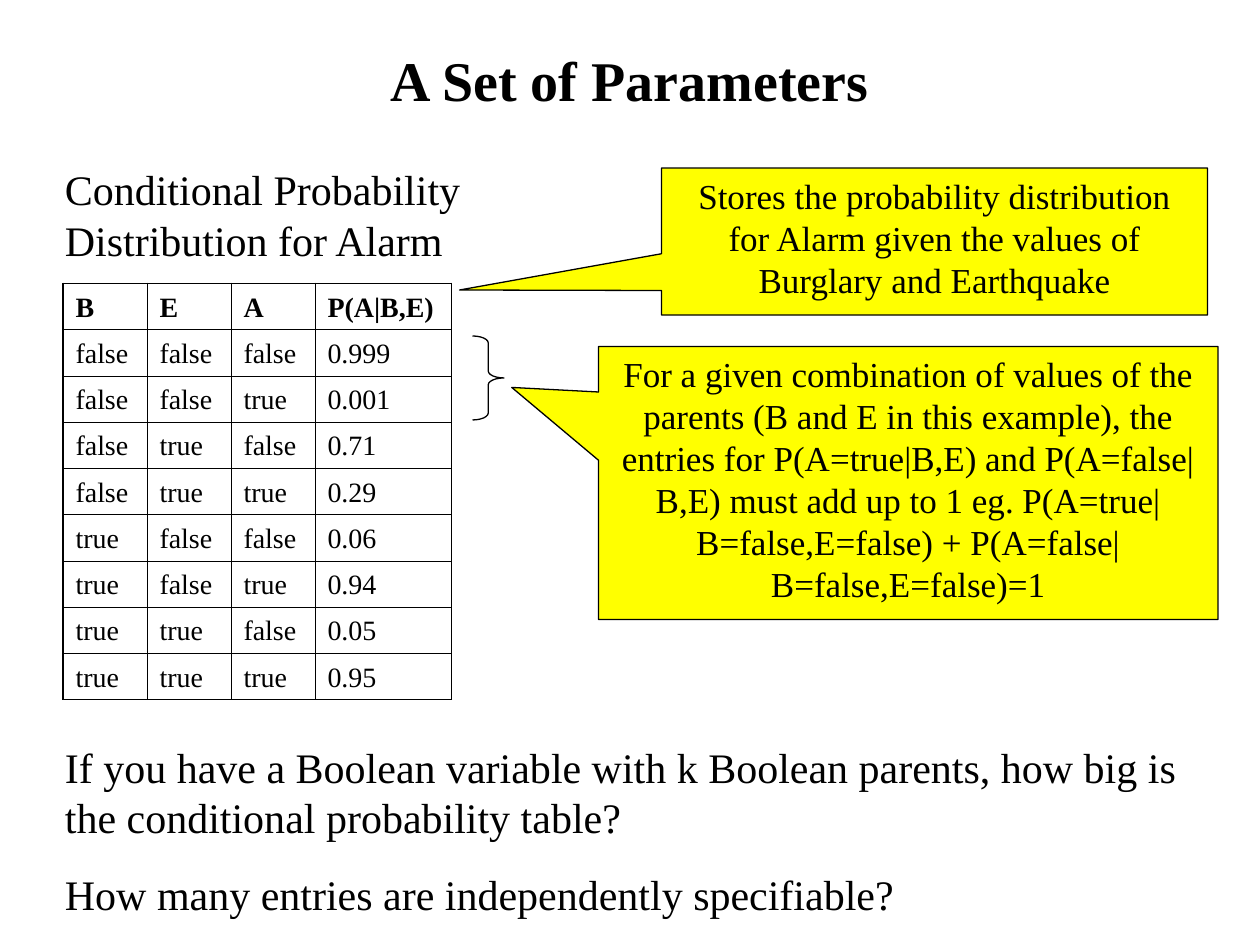
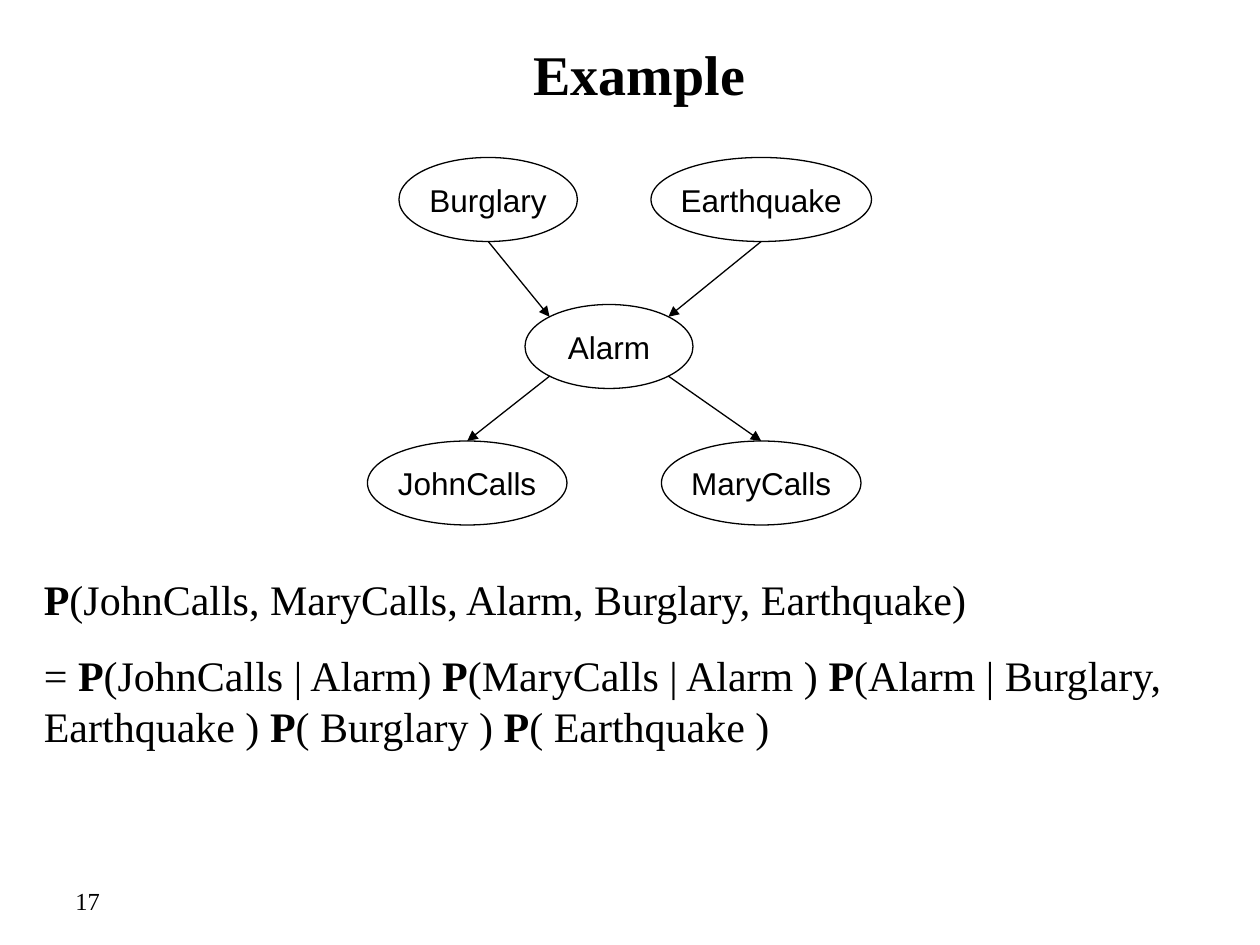
import dataclasses
import math

import pptx
import pptx.dml.color
import pptx.enum.shapes
import pptx.enum.text
import pptx.oxml
import pptx.oxml.ns
import pptx.util

Pt = pptx.util.Pt
Align = pptx.enum.text.PP_ALIGN
Anchor = pptx.enum.text.MSO_ANCHOR
Preset = pptx.enum.shapes.MSO_SHAPE

COLUMNS, ROWS = 120, 90
CELL = pptx.util.Inches(10) // COLUMNS


@dataclasses.dataclass(frozen=True)
class Theme:
    ink: str = "000000"
    callout: str = "FFFF00"
    serif: str = "Times New Roman"
    sans: str = "Arial"
    title: int = 32
    body: int = 24
    note: int = 20
    node: int = 18
    entry: int = 16
    footer: int = 14
    leading: float = 1.2
    paragraph_gap: int = 15
    outline: float = 0.75
    frame: float = 1.08
    rule: float = 0.45


THEME = Theme()


def rgb(value):
    return pptx.dml.color.RGBColor.from_string(value)


def grid(*cells):
    """Turn grid columns and rows into slide lengths."""
    return [round(cell * CELL) for cell in cells]


def apply(target, formats):
    for name, value in formats.items():
        setattr(target, name, value)


def write(frame, paragraphs, size, align=Align.LEFT, anchor=Anchor.TOP,
          font=THEME.serif, bold=False, wrap=True):
    """Fill a text frame; words between asterisks switch to bold."""
    inset_x, inset_y = pptx.util.Inches(0.1), pptx.util.Inches(0.05)
    apply(frame, {"word_wrap": wrap, "vertical_anchor": anchor,
                  "margin_left": inset_x, "margin_right": inset_x,
                  "margin_top": inset_y, "margin_bottom": inset_y})
    for index, text in enumerate(paragraphs):
        paragraph = frame.add_paragraph() if index else frame.paragraphs[0]
        apply(paragraph, {"alignment": align,
                          "line_spacing": Pt(size * THEME.leading)})
        if index:
            paragraph.space_before = Pt(THEME.paragraph_gap)
        for part, words in enumerate(text.split("*")):
            if words:
                run = paragraph.add_run()
                run.text = words
                apply(run.font, {"name": font, "size": Pt(size),
                                 "bold": bold or part % 2 == 1})
                run.font.color.rgb = rgb(THEME.ink)


def add_text(slide, area, paragraphs, size, **formats):
    box = slide.shapes.add_textbox(*grid(*area))
    write(box.text_frame, paragraphs, size, **formats)


def add_title(slide, area, text):
    add_text(slide, area, [text], THEME.title, bold=True,
             align=Align.CENTER, anchor=Anchor.MIDDLE)


def add_outlined(slide, preset, area, fill=None, adjustments=()):
    shape = slide.shapes.add_shape(preset, *grid(*area))
    shape.shadow.inherit = False
    if fill:
        shape.fill.solid()
        shape.fill.fore_color.rgb = rgb(fill)
    else:
        shape.fill.background()
    shape.line.color.rgb = rgb(THEME.ink)
    shape.line.width = Pt(THEME.outline)
    for index, value in enumerate(adjustments):
        shape.adjustments[index] = value
    return shape


def add_callout(slide, area, tip, text):
    """Draw a callout whose tip is an offset from its centre, in shares of its size."""
    callout = add_outlined(slide, Preset.RECTANGULAR_CALLOUT, area,
                           THEME.callout, tip)
    write(callout.text_frame, [text], THEME.note, align=Align.CENTER)


def add_node(slide, area, label):
    node = add_outlined(slide, Preset.OVAL, area)
    write(node.text_frame, [label], THEME.node, align=Align.CENTER,
          anchor=Anchor.MIDDLE, font=THEME.sans, wrap=False)


def rim_point(area, degrees):
    """Grid point on an ellipse, with the angle measured clockwise from the right."""
    left, top, width, height = area
    angle = math.radians(degrees)
    return (left + width / 2 * (1 + math.cos(angle)),
            top + height / 2 * (1 + math.sin(angle)))


def add_arrow(slide, start, end):
    arrow = slide.shapes.add_connector(
        pptx.enum.shapes.MSO_CONNECTOR.STRAIGHT, *grid(*start, *end))
    arrow.line.color.rgb = rgb(THEME.ink)
    arrow.line.width = Pt(THEME.outline)
    head = pptx.oxml.parse_xml(
        f'<a:tailEnd {pptx.oxml.ns.nsdecls("a")} type="triangle"/>')
    arrow.line._get_or_add_ln().append(head)
    arrow._element.spPr.append(pptx.oxml.parse_xml(
        f'<a:effectLst {pptx.oxml.ns.nsdecls("a")}/>'))


def add_border(cell, side, width):
    cell._tc.get_or_add_tcPr().append(pptx.oxml.parse_xml(
        f'<a:ln{side} {pptx.oxml.ns.nsdecls("a")} w="{Pt(width)}">'
        f'<a:solidFill><a:srgbClr val="{THEME.ink}"/></a:solidFill></a:ln{side}>'))


def add_probability_table(slide, left, top, widths, row_height, records):
    last_row, last_column = len(records) - 1, len(widths) - 1
    table = slide.shapes.add_table(
        len(records), len(widths),
        *grid(left, top, sum(widths), row_height * len(records))).table
    apply(table, {"first_row": False, "horz_banding": False})
    for column, width in zip(table.columns, grid(*widths)):
        column.width = width
    for r, record in enumerate(records):
        table.rows[r].height = grid(row_height)[0]
        for c, entry in enumerate(record):
            cell = table.cell(r, c)
            write(cell.text_frame, [entry], THEME.entry, bold=r == 0)
            outer = {"L": c == 0, "R": c == last_column,
                     "T": r == 0, "B": r == last_row}
            for side, on_frame in outer.items():
                add_border(cell, side, THEME.frame if on_frame else THEME.rule)
            cell.fill.background()


def build_parameters(slide):
    add_title(slide, (9, 2, 102, 11), "A Set of Parameters")
    add_text(slide, (5, 15, 41, 10.8),
             ["Conditional Probability Distribution for Alarm"], THEME.body)

    chance_of_no_alarm = {("false", "false"): ("0.999", "0.001"),
                          ("false", "true"): ("0.71", "0.29"),
                          ("true", "false"): ("0.06", "0.94"),
                          ("true", "true"): ("0.05", "0.95")}
    records = [("B", "E", "A", "P(A|B,E)")]
    for parents, chances in chance_of_no_alarm.items():
        for alarm, chance in zip(("false", "true"), chances):
            records.append((*parents, alarm, chance))
    add_probability_table(slide, 6, 27, (8, 8, 8, 13), 4.4, records)

    add_outlined(slide, Preset.RIGHT_BRACE, (45, 32, 3, 8), adjustments=(0.22,))
    add_callout(slide, (63, 16, 52, 14), (-0.87, 0.33),
                "Stores the probability distribution for Alarm given the "
                "values of Burglary and Earthquake")
    add_callout(slide, (57, 33, 59, 26), (-0.64, -0.35),
                "For a given combination of values of the parents (B and E in "
                "this example), the entries for P(A=true|B,E) and "
                "P(A=false|B,E) must add up to 1 eg. P(A=true|B=false,E=false) "
                "+ P(A=false|B=false,E=false)=1")
    add_text(slide, (5, 70, 111, 18.1),
             ["If you have a Boolean variable with k Boolean parents, how big "
              "is the conditional probability table?",
              "How many entries are independently specifiable?"], THEME.body)


def build_example(slide):
    add_title(slide, (3.4, 3, 115, 8), "Example")
    node_height = 8
    places = {"Burglary": (38, 15, 17), "Earthquake": (62, 15, 21),
              "Alarm": (50, 29, 16),
              "JohnCalls": (35, 42, 19), "MaryCalls": (63, 42, 19)}
    nodes = {label: (*place, node_height) for label, place in places.items()}
    for label, area in nodes.items():
        add_node(slide, area, label)

    up, down = 270, 90
    for cause, leaves, effect, enters in (("Burglary", down, "Alarm", 225),
                                          ("Earthquake", down, "Alarm", 315),
                                          ("Alarm", 135, "JohnCalls", up),
                                          ("Alarm", 45, "MaryCalls", up)):
        add_arrow(slide, rim_point(nodes[cause], leaves),
                  rim_point(nodes[effect], enters))

    add_text(slide, (3, 54, 114, 18.1),
             ["*P*(JohnCalls, MaryCalls, Alarm, Burglary, Earthquake)",
              "= *P*(JohnCalls | Alarm) *P*(MaryCalls | Alarm ) "
              "*P*(Alarm | Burglary, Earthquake ) *P*( Burglary ) "
              "*P*( Earthquake )"], THEME.body)
    add_text(slide, (6, 83.4, 28, 4.8), ["17"], THEME.footer,
             anchor=Anchor.MIDDLE)


def main():
    deck = pptx.Presentation()
    apply(deck, {"slide_width": COLUMNS * CELL, "slide_height": ROWS * CELL})
    blank = deck.slide_layouts[6]
    for build in (build_parameters, build_example):
        build(deck.slides.add_slide(blank))
    deck.save("out.pptx")


if __name__ == "__main__":
    main()
